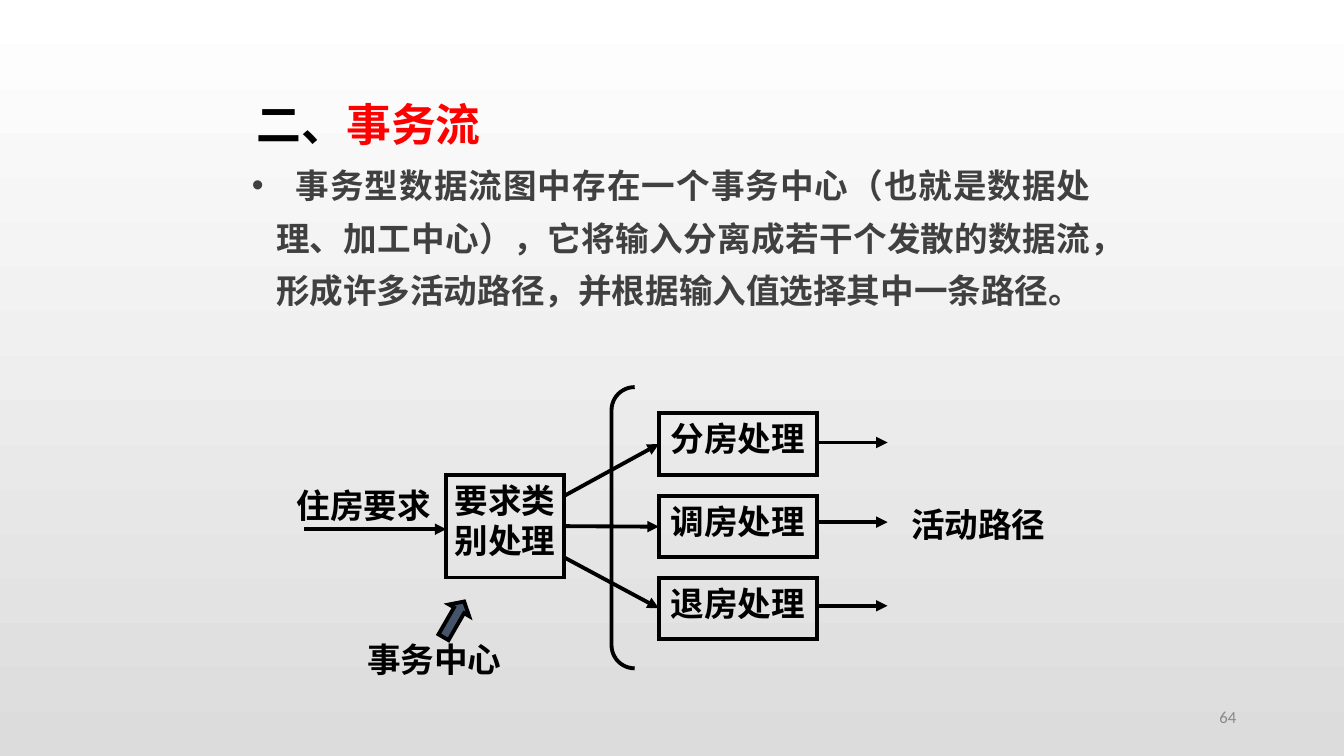
from lxml.etree import SubElement
from pptx import Presentation
from pptx.dml.color import RGBColor
from pptx.enum.shapes import MSO_CONNECTOR, MSO_SHAPE
from pptx.enum.text import MSO_ANCHOR, PP_ALIGN
from pptx.oxml.ns import qn
from pptx.util import Inches, Pt

COLORS = {
    "black": "000000",
    "red": "FF0000",
    "body": "404040",
    "number": "898989",
    "arrow": "44546A",
    "top": "FFFFFF",
    "bottom": "DCDCDC",
}
CHINESE_FONT = "Noto Sans CJK SC"
LINE_WIDTH = Pt(2.75)
LEFT, RIGHT = 1, 3


def rgb(name):
    return RGBColor.from_string(COLORS[name])


def set_background(page):
    fill = page.background.fill
    fill.gradient()
    fill.gradient_angle = 270
    for stop, position, color in zip(fill.gradient_stops, (0, 1), ("top", "bottom")):
        stop.position = position
        stop.color.rgb = rgb(color)


def set_margins(frame, horizontal, vertical):
    frame.margin_left = frame.margin_right = Inches(horizontal)
    frame.margin_top = frame.margin_bottom = Inches(vertical)


def add_span(para, text, size=24, color="black", font="Times New Roman", bold=True,
             spacing=0):
    """Add a run; spacing is extra room after each character, in points."""
    span = para.add_run()
    span.text = text
    span.font.size = Pt(size)
    span.font.bold = bold
    span.font.name = font
    span.font.color.rgb = rgb(color)
    SubElement(span.font._element, qn("a:ea"), typeface=CHINESE_FONT)
    if spacing:
        span.font._element.set("spc", str(spacing * 100))


def add_text(page, text, left, top, width, height, align=PP_ALIGN.CENTER,
             margins=(0, 0), anchor=MSO_ANCHOR.TOP, **font):
    """Add a text box with one paragraph and return that paragraph."""
    box = page.shapes.add_textbox(Inches(left), Inches(top), Inches(width), Inches(height))
    frame = box.text_frame
    frame.word_wrap = True
    frame.vertical_anchor = anchor
    set_margins(frame, *margins)
    para = frame.paragraphs[0]
    para.alignment = align
    add_span(para, text, **font)
    return para


def add_bullet(para, hang, color):
    props = para._p.get_or_add_pPr()
    props.set("marL", str(Inches(hang)))
    props.set("indent", str(-Inches(hang)))
    bullet_color = SubElement(props, qn("a:buClr"))
    SubElement(bullet_color, qn("a:srgbClr"), val=COLORS[color])
    SubElement(props, qn("a:buFont"), typeface="Arial")
    SubElement(props, qn("a:buChar"), char="•")


def add_outline(page, kind, left, top, width, height, fill=None):
    shape = page.shapes.add_shape(
        kind, Inches(left), Inches(top), Inches(width), Inches(height))
    shape.shadow.inherit = False
    if fill:
        shape.fill.solid()
        shape.fill.fore_color.rgb = rgb(fill)
    else:
        shape.fill.background()
    shape.line.color.rgb = rgb("black")
    shape.line.width = LINE_WIDTH
    SubElement(shape.line._get_or_add_ln(), qn("a:miter"), lim="800000")
    return shape


def add_process(page, text, left, top, width, height):
    box = add_outline(page, MSO_SHAPE.RECTANGLE, left, top, width, height)
    frame = box.text_frame
    frame.word_wrap = True
    frame.vertical_anchor = MSO_ANCHOR.TOP
    set_margins(frame, 0, 0.05)
    para = frame.paragraphs[0]
    para.alignment = PP_ALIGN.CENTER
    add_span(para, text)
    return box


def add_flow(page, start, end, source=None, target=None):
    """Draw an arrow, joined to the right of source and the left of target."""
    flow = page.shapes.add_connector(
        MSO_CONNECTOR.STRAIGHT, *(Inches(length) for length in start + end))
    if source:
        flow.begin_connect(source, RIGHT)
    if target:
        flow.end_connect(target, LEFT)
    flow.line.color.rgb = rgb("black")
    flow.line.width = LINE_WIDTH
    SubElement(flow.line._get_or_add_ln(), qn("a:tailEnd"), type="triangle")
    SubElement(flow._element.spPr, qn("a:effectLst"))


def add_diagram(page):
    center = add_process(page, "要求类别处理", 4.43, 4.71, 1.17, 1.02)
    add_flow(page, (3.02, 5.25), (4.43, 5.25))

    branches = (("分房处理", 4.1, 4.92, 4.39),
                ("调房处理", 4.92, 5.22, 5.18),
                ("退房处理", 5.73, 5.53, 6.01))
    for name, top, fork, output in branches:
        branch = add_process(page, name, 6.54, top, 1.57, 0.61)
        source = center if name == "调房处理" else None
        add_flow(page, (5.6, fork), (6.54, top + 0.3), source=source, target=branch)
        add_flow(page, (8.11, output), (8.81, output))

    bracket = add_outline(page, MSO_SHAPE.LEFT_BRACKET, 6.07, 3.84, 0.23, 2.79)
    bracket.adjustments[0] = 1

    for label, left, top in (("住房要求", 2.79, 4.81), ("事务中心", 3.49, 6.34),
                             ("活动路径", 8.89, 5)):
        add_text(page, label, left, top, 1.64, 0.41)

    pointer = add_outline(page, MSO_SHAPE.UP_ARROW, 4.39, 5.94, 0.23, 0.41, fill="arrow")
    pointer.adjustments[0] = 0.5
    pointer.adjustments[1] = 0.44
    pointer.rotation = 30


def main():
    deck = Presentation()
    deck.slide_width = Inches(13.34)
    deck.slide_height = Inches(7.5)
    page = deck.slides.add_slide(deck.slide_layouts[6])
    set_background(page)

    title = add_text(page, "二、", 2.45, 0.91, 2.52, 0.64, align=PP_ALIGN.LEFT,
                     margins=(0.1, 0.05), size=32)
    add_span(title, "事务流", size=32, color="red")

    body = add_text(page, " ", 2.5, 1.47, 8.33, 2.28, align=PP_ALIGN.JUSTIFY,
                    margins=(0, 0.05), color="body", font=CHINESE_FONT, spacing=7)
    add_span(
        body,
        "事务型数据流图中存在一个事务中心（也就是数据处理、加工中心），"
        "它将输入分离成若干个发散的数据流，形成许多活动路径，"
        "并根据输入值选择其中一条路径。",
        color="body", font=CHINESE_FONT)
    body.line_spacing = 1.3
    body.space_after = Pt(10)
    add_bullet(body, 0.24, "body")

    add_diagram(page)
    add_text(page, "64", 9.42, 6.94, 2.95, 0.35, align=PP_ALIGN.RIGHT,
             margins=(0.1, 0.05), anchor=MSO_ANCHOR.MIDDLE,
             size=12, color="number", font="Calibri", bold=False)
    deck.save("out.pptx")


if __name__ == "__main__":
    main()
